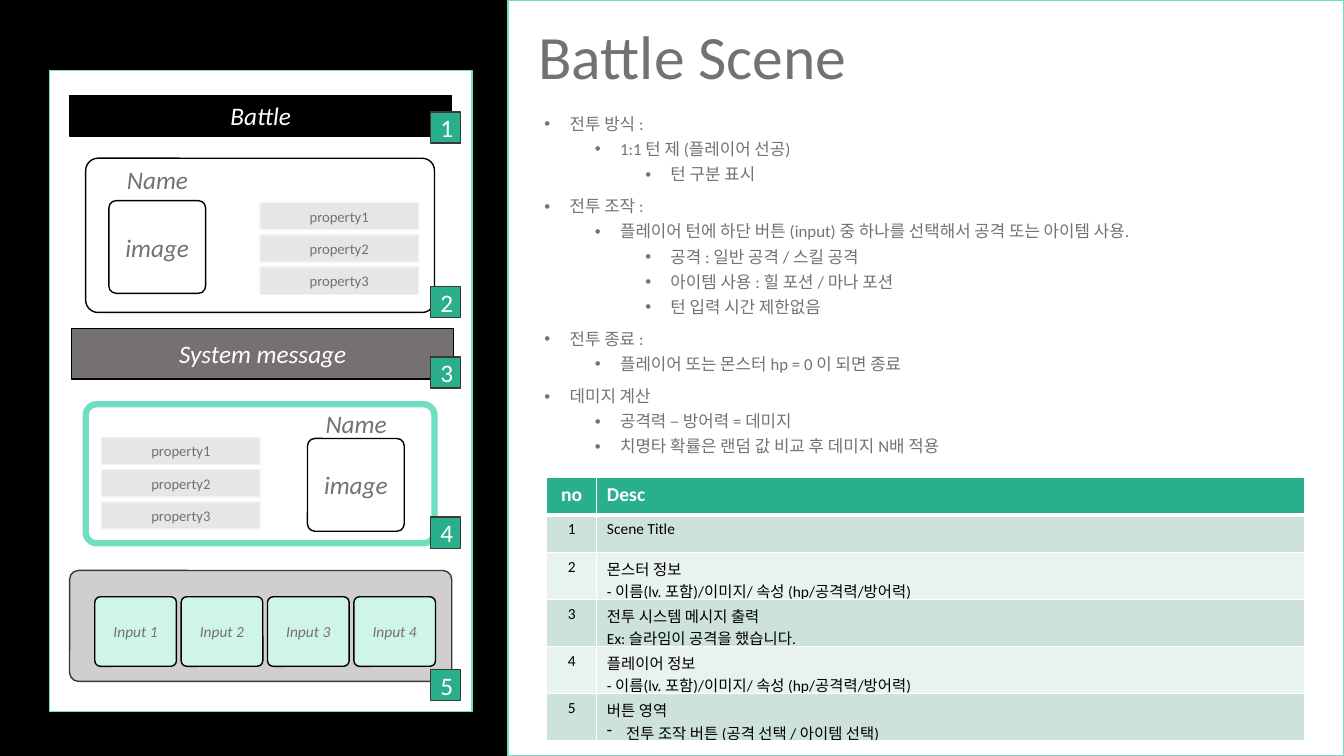
from dataclasses import dataclass
from typing import NamedTuple

from lxml.etree import SubElement
from pptx import Presentation
from pptx.dml.color import RGBColor
from pptx.enum.shapes import MSO_SHAPE as Shape
from pptx.enum.text import MSO_ANCHOR as Anchor, MSO_AUTO_SIZE as AutoSize, PP_ALIGN as Align
from pptx.oxml.ns import qn
from pptx.util import Inches, Pt


@dataclass(frozen=True)
class Theme:
    """Colours, type sizes and font of the page."""
    font: str = "Calibri"
    black: str = "000000"
    white: str = "FFFFFF"
    gray: str = "767171"
    dark: str = "3B3838"
    tray: str = "D0CECE"
    chip: str = "E7E6E6"
    chip_line: str = "F2F2F2"
    mint: str = "70DEC1"
    pale_mint: str = "CFF4EA"
    green: str = "29AF8C"
    odd_row: str = "CDE3DA"
    even_row: str = "E8F2EE"
    title: float = 44
    label: float = 18
    head: float = 14
    body: float = 12
    small: float = 11
    property: float = 10.5


class Box(NamedTuple):
    """A rectangle in inches."""
    left: float
    top: float
    width: float
    height: float

    def inner(self, left, top, width, height):
        """Return a box offset from this one's top left corner."""
        return Box(self.left + left, self.top + top, width, height)

    def emu(self):
        """Return the four lengths for python-pptx."""
        return [Inches(value) for value in self]


THEME = Theme()
OUTLINE = [
    (0, "전투 방식 :"),
    (1, "1:1 턴 제 (플레이어 선공)"),
    (2, "턴 구분 표시"),
    (0, "전투 조작 :"),
    (1, "플레이어 턴에 하단 버튼 (input) 중 하나를 선택해서 공격 또는 아이템 사용."),
    (2, "공격 : 일반 공격 / 스킬 공격"),
    (2, "아이템 사용 : 힐 포션 / 마나 포션"),
    (2, "턴 입력 시간 제한없음"),
    (0, "전투 종료 :"),
    (1, "플레이어 또는 몬스터 hp = 0 이 되면 종료"),
    (0, "데미지 계산"),
    (1, "공격력 – 방어력 = 데미지"),
    (1, "치명타 확률은 랜덤 값 비교 후 데미지 N배 적용"),
]
UNIT_INFO = "- 이름(lv. 포함)/이미지/ 속성 (hp/공격력/방어력)"
DESCRIPTIONS = [
    ("no", "Desc"),
    ("1", "Scene Title"),
    ("2", f"몬스터 정보\n{UNIT_INFO}"),
    ("3", "전투 시스템 메시지 출력\nEx: 슬라임이 공격을 했습니다."),
    ("4", f"플레이어 정보\n{UNIT_INFO}"),
    ("5", "버튼 영역\n전투 조작 버튼 (공격 선택 / 아이템 선택)"),
]


def style(frame, size, color, align=Align.LEFT, bold=False, italic=False):
    """Format every run of a text frame."""
    for para in frame.paragraphs:
        para.alignment = align
        for span in para.runs:
            font = span.font
            font.name, font.size, font.bold, font.italic = THEME.font, Pt(size), bold, italic
            font.color.rgb = RGBColor.from_string(color)


def bullet(para, mark, left, hanging):
    """Give a paragraph a bullet with a hanging indent."""
    props = para._p.get_or_add_pPr()
    props.set("marL", str(Inches(left)))
    props.set("indent", str(-Inches(hanging)))
    SubElement(props, qn("a:buChar")).set("char", mark)


def block(page, box, fill, line, weight=1, text="", size=THEME.label,
          color=THEME.gray, italic=True, rounded=False):
    """Add a filled box with an optional centred label."""
    shape = page.shapes.add_shape(Shape.ROUNDED_RECTANGLE if rounded else Shape.RECTANGLE, *box.emu())
    shape.shadow.inherit = False
    if rounded:
        shape.adjustments[0] = 0.08
    shape.fill.solid()
    shape.fill.fore_color.rgb = RGBColor.from_string(fill)
    shape.line.color.rgb = RGBColor.from_string(line)
    shape.line.width = Pt(weight)
    if text:
        frame = shape.text_frame
        frame.text = text
        frame.word_wrap = True
        frame.vertical_anchor = Anchor.MIDDLE
        style(frame, size, color, Align.CENTER, italic=italic)
    return shape


def unit_card(page, box, line, weight, image_at, name_top, properties_at):
    """Draw a fighter card with name, image and three properties."""
    block(page, box, THEME.white, line, weight, rounded=True)
    image_left, image_top = image_at
    block(page, box.inner(image_left, image_top, 0.96, 0.92), THEME.white, THEME.black,
          text="image", rounded=True)
    name = page.shapes.add_textbox(*box.inner(image_left + 0.08, name_top, 0.81, 0.4).emu())
    name.text_frame.text = "Name"
    name.text_frame.word_wrap = False
    style(name.text_frame, THEME.label, THEME.gray, italic=True)
    left, top = properties_at
    for index in range(3):
        block(page, box.inner(left, top + 0.32 * index, 1.57, 0.27), THEME.chip, THEME.chip_line,
              text=f"property{index + 1}", size=THEME.property, italic=False)


def input_tray(page, box):
    """Draw the tray holding four input buttons."""
    block(page, box, THEME.tray, THEME.dark, rounded=True)
    for index in range(4):
        block(page, box.inner(0.25 + 2.57 * index / 3, 0.26, 0.81, 0.69), THEME.pale_mint,
              THEME.black, text=f"Input {index + 1}", size=THEME.small, rounded=True)


def wireframe(page, box):
    """Draw the battle screen mock-up with its numbered badges."""
    block(page, box, THEME.white, THEME.mint)
    unit_card(page, box.inner(0.36, 0.87, 3.46, 1.53), THEME.black, 1,
              (0.23, 0.42), 0.01, (1.73, 0.44))
    unit_card(page, box.inner(0.36, 3.31, 3.46, 1.38), THEME.mint, 4.5,
              (2.2, 0.34), -0.01, (0.16, 0.33))
    input_tray(page, box.inner(0.2, 4.96, 3.79, 1.1))
    block(page, box.inner(0.22, 2.56, 3.79, 0.5), THEME.gray, THEME.black,
          text="System message", color=THEME.white)
    block(page, box.inner(0.2, 0.25, 3.79, 0.4), THEME.black, THEME.black,
          text="Battle", color=THEME.white)
    for number, top in enumerate((0.41, 2.14, 2.84, 4.43, 5.94), 1):
        block(page, box.inner(3.78, top, 0.3, 0.31), THEME.green, THEME.dark,
              text=str(number), color=THEME.white, italic=False)


def place(holder, box):
    """Move a placeholder to a box and return its text frame."""
    holder.left, holder.top, holder.width, holder.height = box.emu()
    frame = holder.text_frame
    frame.word_wrap = True
    frame.auto_size = AutoSize.NONE
    frame.vertical_anchor = Anchor.TOP
    return frame


def outline(page, box):
    """Fill the title and the bulleted rules."""
    title = place(page.shapes.title, box.inner(0.2, 0.21, 7.08, 1.26))
    title.text = "Battle Scene"
    title.paragraphs[0].line_spacing = 0.9
    style(title, THEME.title, THEME.gray)
    body = place(page.placeholders[1], box.inner(0.26, 1.1, 7.53, 3.84))
    body.text = "\n".join(text for _, text in OUTLINE)
    for para, (level, _) in zip(body.paragraphs, OUTLINE):
        para.level = level
        para.line_spacing = 0.9
        para.space_before = Pt(5 if level else 10)
        bullet(para, "•", 0.25 + 0.5 * level, 0.25)
    style(body, THEME.body, THEME.gray)


def borders(cell, top, bottom):
    """Draw white borders around a cell."""
    props = cell._tc.get_or_add_tcPr()
    for index, (side, weight) in enumerate(zip("LRTB", (1, 1, top, bottom))):
        line = props.makeelement(qn(f"a:ln{side}"), {"w": str(Pt(weight))})
        fill = SubElement(line, qn("a:solidFill"))
        SubElement(fill, qn("a:srgbClr")).set("val", THEME.white)
        props.insert(index, line)


def description_table(page, box):
    """Add the table that explains the numbered badges."""
    holder = page.shapes.add_table(len(DESCRIPTIONS), 2, *box.emu())
    table = holder.table
    table.columns[0].width, table.columns[1].width = Inches(0.5), Inches(box.width - 0.5)
    for row, texts in enumerate(DESCRIPTIONS):
        table.rows[row].height = Inches(0.37 if row < 2 else 0.42)
        header = row == 0
        fill = THEME.green if header else THEME.odd_row if row % 2 else THEME.even_row
        for column, text in enumerate(texts):
            cell = table.cell(row, column)
            cell.text_frame.text = text
            cell.fill.solid()
            cell.fill.fore_color.rgb = RGBColor.from_string(fill)
            borders(cell, 3 if row == 1 else 1, 3 if header else 1)
            style(cell.text_frame, THEME.head if header else THEME.small,
                  THEME.white if header else THEME.black,
                  Align.LEFT if column else Align.CENTER, bold=header)
    bullet(table.cell(5, 1).text_frame.paragraphs[1], "-", 0.19, 0.19)
    holder.height = Inches(box.height)


def main():
    """Build the battle scene page and save it."""
    deck = Presentation()
    deck.slide_width, deck.slide_height = Inches(13.33), Inches(7.5)
    page = deck.slides.add_slide(deck.slide_layouts[1])
    page.background.fill.solid()
    page.background.fill.fore_color.rgb = RGBColor.from_string(THEME.black)
    panel = Box(5.04, 0, 8.29, 7.5)
    backdrop = block(page, panel, THEME.white, THEME.mint)
    page.shapes._spTree.insert(2, backdrop._element)
    outline(page, panel)
    wireframe(page, Box(0.49, 0.7, 4.19, 6.36))
    description_table(page, panel.inner(0.38, 4.74, 7.52, 2.6))
    deck.save("out.pptx")


main()
